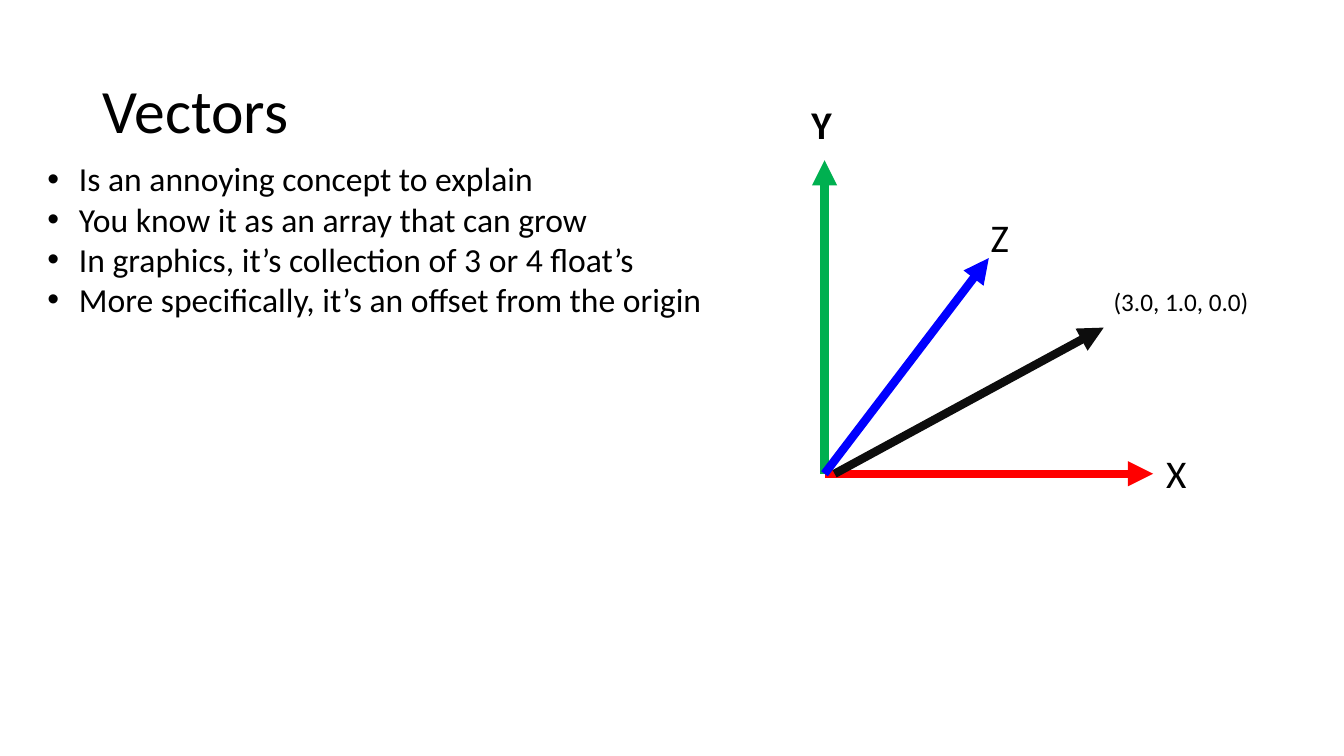
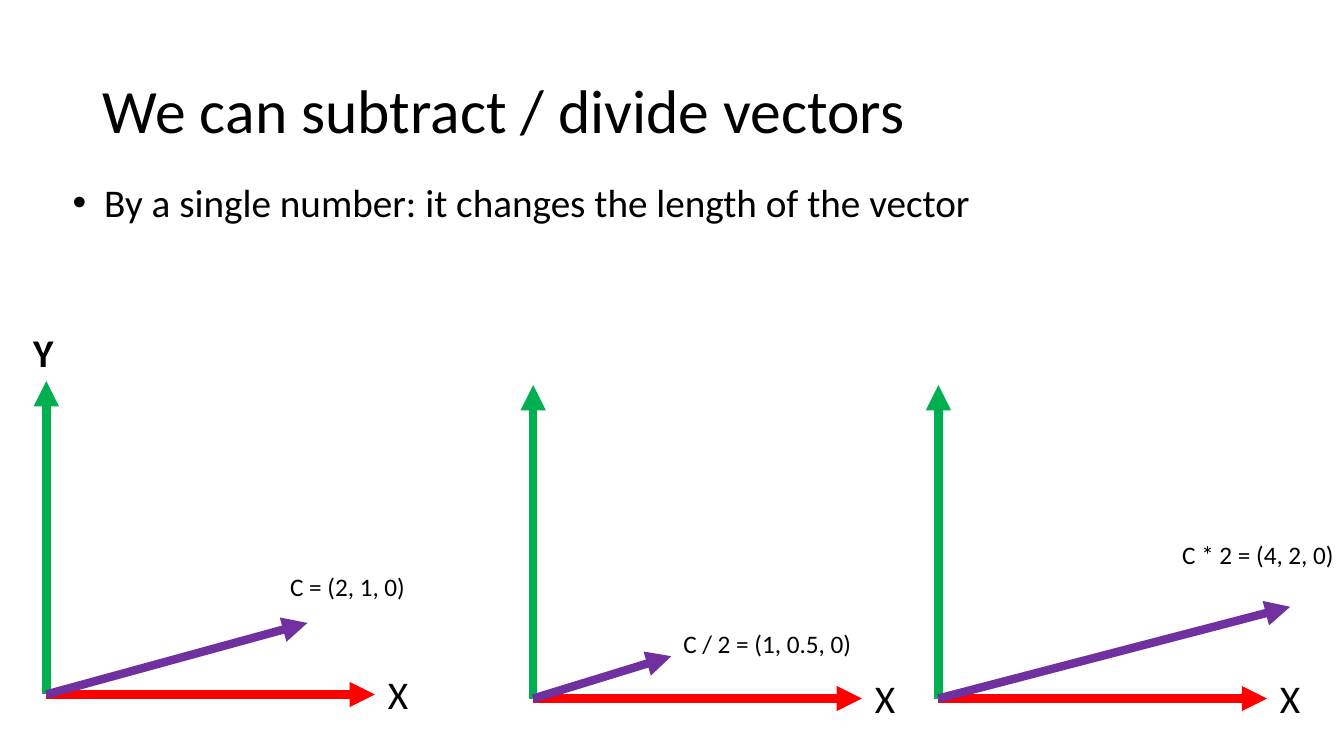
from dataclasses import dataclass

from lxml import etree
from pptx import Presentation
from pptx.dml.color import RGBColor
from pptx.enum.shapes import MSO_CONNECTOR
from pptx.enum.text import MSO_ANCHOR, MSO_AUTO_SIZE, PP_ALIGN
from pptx.oxml.ns import qn
from pptx.util import Inches, Pt

LINE = MSO_CONNECTOR.STRAIGHT
TOP, MID = MSO_ANCHOR.TOP, MSO_ANCHOR.MIDDLE
FIXED = MSO_AUTO_SIZE.NONE
LEFT = PP_ALIGN.LEFT
COLS, ROWS = 40, 22.5
CELL = Inches(1) / 3


@dataclass(frozen=True)
class Theme:
    """Colours, type sizes and shared measures of the deck."""
    font: str = "Calibri"
    ink: str = "000000"
    red: str = "FF0000"
    green: str = "00B050"
    blue: str = "0000FF"
    black: str = "0D0D0D"
    purple: str = "7030A0"
    title: int = 44
    large: int = 28
    list: int = 24
    small: int = 18
    stroke: int = 6
    indent: float = 0.94
    span: tuple = (9.78, 9.33)


THEME = Theme()
TITLE_BOX = (2.76, 1.2, 34.5, 4.35)


def grid(*cells):
    """Turn grid cells into lengths."""
    return [round(cell * CELL) for cell in cells]


def apply(target, form):
    """Set every format value on the target."""
    for name, value in form.items():
        setattr(target, name, value)


def place(shape, box):
    """Move and size a shape on the grid."""
    apply(shape, dict(zip(("left", "top", "width", "height"), grid(*box))))


def write(para, text, size, bold=False, **form):
    """Write one formatted run into a paragraph."""
    apply(para, {"alignment": LEFT, "space_before": Pt(0), **form})
    run = para.add_run()
    run.text = text
    apply(run.font, {"name": THEME.font, "size": Pt(size), "bold": bold})
    run.font.color.rgb = RGBColor.from_string(THEME.ink)


def bullet(para):
    """Give a paragraph a hanging round bullet."""
    props = para._p.get_or_add_pPr()
    dent, = grid(THEME.indent)
    props.set("marL", str(dent))
    props.set("indent", str(-dent))
    etree.SubElement(props, qn("a:buFont")).set("typeface", "Arial")
    etree.SubElement(props, qn("a:buChar")).set("char", "•")


def start(deck, title, items, box, size):
    """Add a slide with its title and bullet list."""
    slide = deck.slides.add_slide(deck.slide_layouts[1])
    head, body = slide.placeholders
    place(head, TITLE_BOX)
    apply(head.text_frame, {"auto_size": FIXED, "vertical_anchor": MID})
    write(head.text_frame.paragraphs[0], title, THEME.title, line_spacing=0.9)
    place(body, box)
    frame = body.text_frame
    apply(frame, {"auto_size": FIXED, "vertical_anchor": TOP})
    for rank, item in enumerate(items):
        para = frame.add_paragraph() if rank else frame.paragraphs[0]
        bullet(para)
        write(para, item, size)
    return slide


def label(slide, text, box, size=THEME.small, bold=False):
    """Add a one-line label."""
    frame = slide.shapes.add_textbox(*grid(*box)).text_frame
    apply(frame, {"word_wrap": False, "auto_size": FIXED})
    write(frame.paragraphs[0], text, size, bold)


def arrow(slide, root, step, color):
    """Draw an arrow from a root point, right and up by a step."""
    x, y = root
    right, rise = step
    link = slide.shapes.add_connector(LINE, *grid(x, y, x + right, y - rise))
    link.line.width = Pt(THEME.stroke)
    link.line.color.rgb = RGBColor.from_string(color)
    props = link._element.spPr
    etree.SubElement(props.find(qn("a:ln")), qn("a:tailEnd")).set("type", "triangle")
    etree.SubElement(props, qn("a:effectLst"))


def axes(slide, root, lift=None):
    """Draw the X and Y axes, naming Y when a lift is given."""
    x, y = root
    wide, tall = THEME.span
    arrow(slide, root, (wide, 0), THEME.red)
    arrow(slide, root, (0, tall), THEME.green)
    label(slide, "X", (x + wide + 0.09, y - 0.87, 1.23, 1.71), THEME.large)
    if lift:
        label(slide, "Y", (x - 0.69, y - tall - lift, 1.17, 1.71), THEME.large, True)


def intro(deck):
    """Build the slide that presents vectors."""
    slide = start(deck, "Vectors", [
        "Is an annoying concept to explain",
        "You know it as an array that can grow",
        "In graphics, it’s collection of 3 or 4 float’s",
        "More specifically, it’s an offset from the origin",
    ], (1.11, 4.56, 20.4, 5.16), THEME.list)
    root = (24.54, 14.1)
    axes(slide, root, 1.92)
    arrow(slide, root, (4.89, 6.42), THEME.blue)
    label(slide, "Z", (29.19, 6.21, 1.17, 1.71), THEME.large)
    arrow(slide, (24.84, 14.1), (8.01, 4.35), THEME.black)
    label(slide, "(3.0, 1.0, 0.0)", (32.85, 8.37, 4.68, 1.2))


def scale(deck):
    """Build the slide that scales a vector."""
    slide = start(deck, "We can subtract / divide vectors",
                  ["By a single number: it changes the length of the vector"],
                  (1.86, 5.16, 27.6, 1.71), THEME.large)
    plots = [
        ((1.38, 20.67), 1.71, (7.77, 2.13), "C = (2, 1, 0)", (8.34, 16.86, 4.08, 1.2)),
        ((15.87, 20.79), None, (4.11, 1.26), "C / 2 = (1, 0.5, 0)", (20.04, 18.54, 5.67, 1.2)),
        ((27.93, 20.79), None, (10.47, 2.73), "C * 2 = (4, 2, 0)", (34.89, 15.9, 5.1, 1.2)),
    ]
    for root, lift, step, text, box in plots:
        axes(slide, root, lift)
        arrow(slide, root, step, THEME.purple)
        label(slide, text, box)


def main():
    """Build and save the deck."""
    deck = Presentation()
    deck.slide_width, deck.slide_height = grid(COLS, ROWS)
    intro(deck)
    scale(deck)
    deck.save("out.pptx")


if __name__ == "__main__":
    main()
